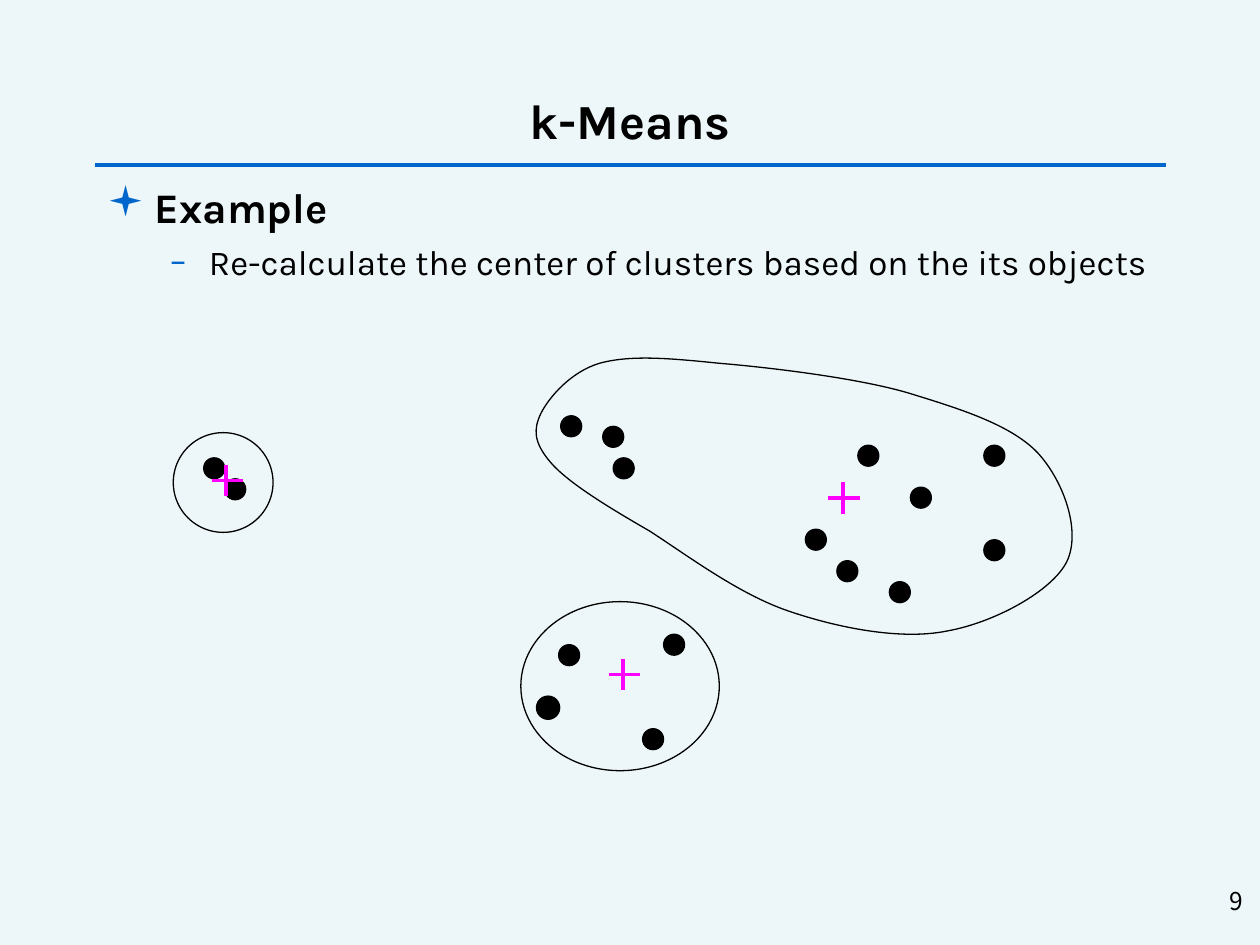
from dataclasses import dataclass

from lxml import etree
from pptx import Presentation
from pptx.dml.color import RGBColor
from pptx.enum.shapes import MSO_CONNECTOR, MSO_SHAPE
from pptx.enum.text import MSO_ANCHOR, PP_ALIGN
from pptx.oxml.ns import qn
from pptx.util import Emu, Inches, Pt

STRAIGHT, OVAL = MSO_CONNECTOR.STRAIGHT, MSO_SHAPE.OVAL
LEFT, CENTER, RIGHT = PP_ALIGN.LEFT, PP_ALIGN.CENTER, PP_ALIGN.RIGHT
TOP, MIDDLE = MSO_ANCHOR.TOP, MSO_ANCHOR.MIDDLE

# The slide is a grid of 120 columns by 90 rows of square cells
CELL = Inches(10) / 120
BACKGROUND, BLACK, BLUE, MAGENTA = "EDF7F9", "000000", "0066CC", "FF00FF"
BODY_FONT, NUMBER_FONT, SYMBOL_FONT = "Karla", "Noto Sans CJK KR", "Wingdings"
DOT_SIZE, CROSS_ARM, CROSS_SHIFT = 2, 1.5, 0.13


@dataclass
class Box:
    col: float
    row: float
    width: float
    height: float


@dataclass
class Dot:
    col: float
    row: float
    outline: float = 0.75


@dataclass
class Line:
    text: str
    size: float
    bold: bool = False
    font: str = BODY_FONT
    align: PP_ALIGN = LEFT
    before: float = 0
    bullet: str = ""
    bullet_font: str = BODY_FONT
    indent: float = 0
    hanging: float = 0


DOTS = [
    # bottom cluster
    Dot(54.2, 62.4), Dot(52.2, 67.4, 2), Dot(62.2, 70.4), Dot(64.2, 61.4),
    # right cluster
    Dot(77.7, 51.4), Dot(80.7, 54.4), Dot(85.7, 56.4), Dot(94.7, 52.4),
    Dot(87.7, 47.4), Dot(82.7, 43.4), Dot(94.7, 43.4),
    Dot(59.4, 44.6), Dot(58.4, 41.6), Dot(54.4, 40.6),
    # left cluster
    Dot(20.4, 44.6), Dot(22.4, 46.6),
]
CENTERS = [(59.33, 64.25), (80.27, 47.45), (21.53, 45.75)]
ROUND_CLUSTERS = [Box(16.5, 41.2, 9.5, 9.5), Box(49.6, 57.3, 18.9, 16.1)]

# Bezier outline of the right cluster: two control points and an end per curve
OUTLINE_START = (68.5, 34.6)
OUTLINE_CURVES = [
    ((63.6, 34.1), (60, 33.8), (57.1, 34.6)),
    ((54.4, 35.4), (52.3, 37.8), (51.5, 39.4)),
    ((50.8, 40.9), (50.8, 42.1), (52.4, 44)),
    ((54.1, 46), (58.1, 48.4), (61.9, 50.6)),
    ((65.6, 53), (70.4, 56.6), (75.1, 58.2)),
    ((79.8, 59.8), (85.8, 61), (90.2, 60.1)),
    ((94.7, 59.3), (100.2, 56.3), (101.6, 53.5)),
    ((103, 50.6), (101.3, 45.8), (98.8, 43.1)),
    ((96.2, 40.4), (91.3, 38.9), (86.4, 37.4)),
    ((81.6, 36), (73.3, 35), OUTLINE_START),
]


def cells(count: float) -> Emu:
    return Emu(round(count * CELL))


def color(hex_code: str) -> RGBColor:
    return RGBColor.from_string(hex_code)


def set_line(shape, hex_code: str, width: float) -> None:
    shape.line.color.rgb = color(hex_code)
    shape.line.width = Pt(width)


def draw_line(shapes, start: tuple, end: tuple, hex_code: str, width: float) -> None:
    connector = shapes.add_connector(STRAIGHT, *map(cells, start + end))
    set_line(connector, hex_code, width)
    etree.SubElement(connector._element.spPr, qn("a:effectLst"))


def draw_oval(shapes, box: Box, outline: float, fill: str = "") -> None:
    oval = shapes.add_shape(OVAL, cells(box.col), cells(box.row),
                            cells(box.width), cells(box.height))
    oval.shadow.inherit = False
    if fill:
        oval.fill.solid()
        oval.fill.fore_color.rgb = color(fill)
    else:
        oval.fill.background()
    set_line(oval, BLACK, outline)


def draw_cross(shapes, col: float, row: float) -> None:
    cross = shapes.add_group_shape().shapes
    middle = col + CROSS_SHIFT
    draw_line(cross, (col, row - CROSS_ARM), (col, row + CROSS_ARM), MAGENTA, 2)
    draw_line(cross, (middle + CROSS_ARM, row), (middle - CROSS_ARM, row), MAGENTA, 2)


def draw_outline(shapes) -> None:
    points = [tuple(map(cells, point)) for curve in OUTLINE_CURVES for point in curve]
    builder = shapes.build_freeform(*map(cells, OUTLINE_START))
    builder.add_line_segments(points, close=True)
    outline = builder.convert_to_shape()
    # Every three straight segments become one Bezier curve
    segments = list(outline._element.iter(qn("a:lnTo")))
    for first in range(0, len(segments), 3):
        curve = etree.Element(qn("a:cubicBezTo"))
        segments[first].addprevious(curve)
        for segment in segments[first:first + 3]:
            curve.append(segment[0])
            segment.getparent().remove(segment)
    outline.shadow.inherit = False
    outline.fill.background()
    set_line(outline, BLACK, 0.75)


def set_bullet(paragraph, line: Line) -> None:
    properties = paragraph._p.get_or_add_pPr()
    properties.set("marL", str(Inches(line.indent)))
    properties.set("indent", str(-Inches(line.hanging)))
    tint = etree.SubElement(properties, qn("a:buClr"))
    etree.SubElement(tint, qn("a:srgbClr"), val=BLUE)
    etree.SubElement(properties, qn("a:buFont"), typeface=line.bullet_font)
    etree.SubElement(properties, qn("a:buChar"), char=line.bullet)


def draw_text(shapes, box: Box, lines: list[Line], anchor: MSO_ANCHOR = TOP) -> None:
    frame = shapes.add_textbox(cells(box.col), cells(box.row),
                               cells(box.width), cells(box.height)).text_frame
    frame.word_wrap = True
    frame.vertical_anchor = anchor
    for index, line in enumerate(lines):
        paragraph = frame.add_paragraph() if index else frame.paragraphs[0]
        paragraph.alignment = line.align
        paragraph.space_before = Pt(line.before)
        if line.bullet:
            paragraph.level = index
            set_bullet(paragraph, line)
        run = paragraph.add_run()
        run.text = line.text
        run.font.size, run.font.bold = Pt(line.size), line.bold
        run.font.name = line.font
        run.font.color.rgb = color(BLACK)


def main() -> None:
    deck = Presentation()
    deck.slide_width, deck.slide_height = cells(120), cells(90)
    slide = deck.slides.add_slide(deck.slide_layouts[6])
    slide.background.fill.solid()
    slide.background.fill.fore_color.rgb = color(BACKGROUND)
    shapes = slide.shapes

    # Heading and bullets
    draw_line(shapes, (9, 15.7), (111, 15.7), BLUE, 2.25)
    draw_text(shapes, Box(9, 8.1, 102, 6.7),
              [Line("k-Means", 28, bold=True, align=CENTER)], MIDDLE)
    draw_text(shapes, Box(9, 16.7, 102, 63.4), [
        Line("Example", 24, bold=True, before=6, bullet="▪",
             bullet_font=SYMBOL_FONT, indent=0.38, hanging=0.38),
        Line("Re-calculate the center of clusters based on the its objects", 20,
             before=5, bullet="–", indent=0.81, hanging=0.31),
    ])

    # Objects, cluster centers and cluster borders
    for dot in DOTS:
        box = Box(dot.col - DOT_SIZE / 2, dot.row - DOT_SIZE / 2, DOT_SIZE, DOT_SIZE)
        draw_oval(shapes, box, dot.outline, BLACK)
    for col, row in CENTERS:
        draw_cross(shapes, col, row)
    for cluster in ROUND_CLUSTERS:
        draw_oval(shapes, cluster, 0.75)
    draw_outline(shapes)

    # Page number
    draw_text(shapes, Box(94.6, 83.8, 25, 6),
              [Line("9", 14, font=NUMBER_FONT, align=RIGHT)])
    deck.save("out.pptx")


if __name__ == "__main__":
    main()
